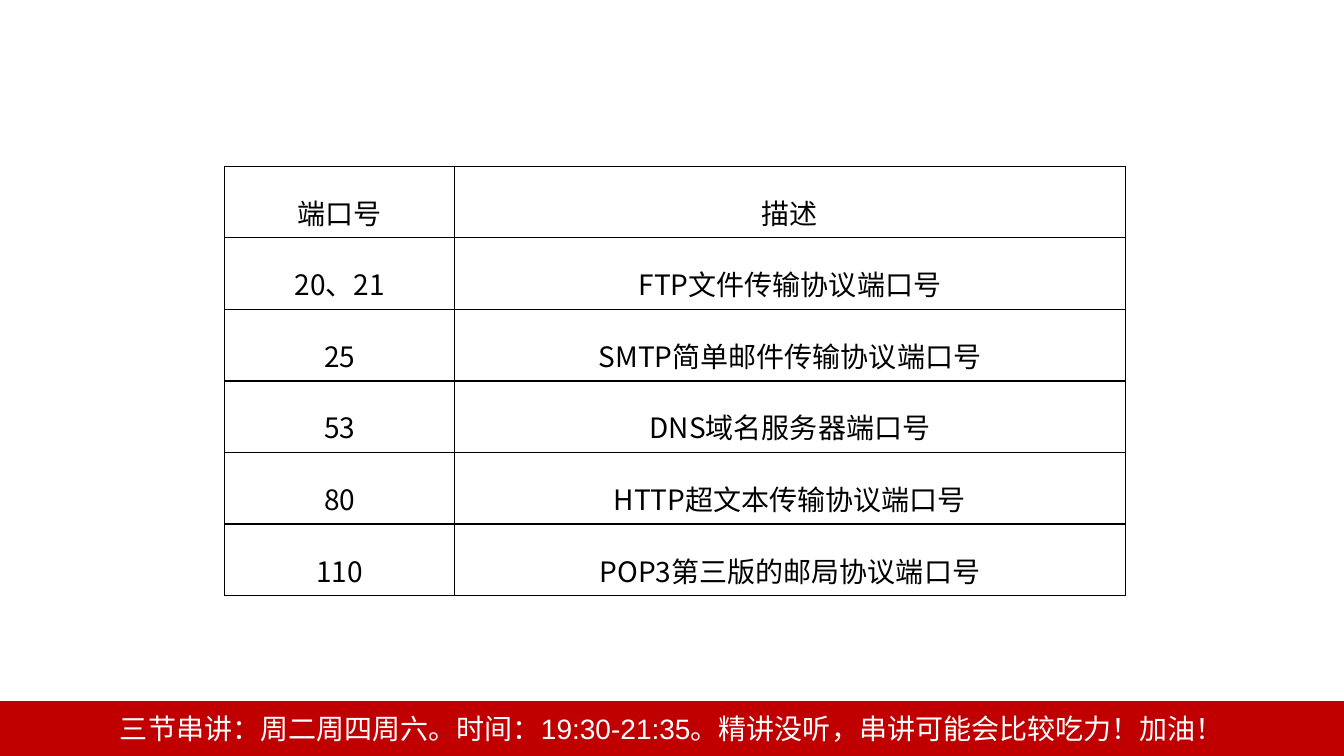
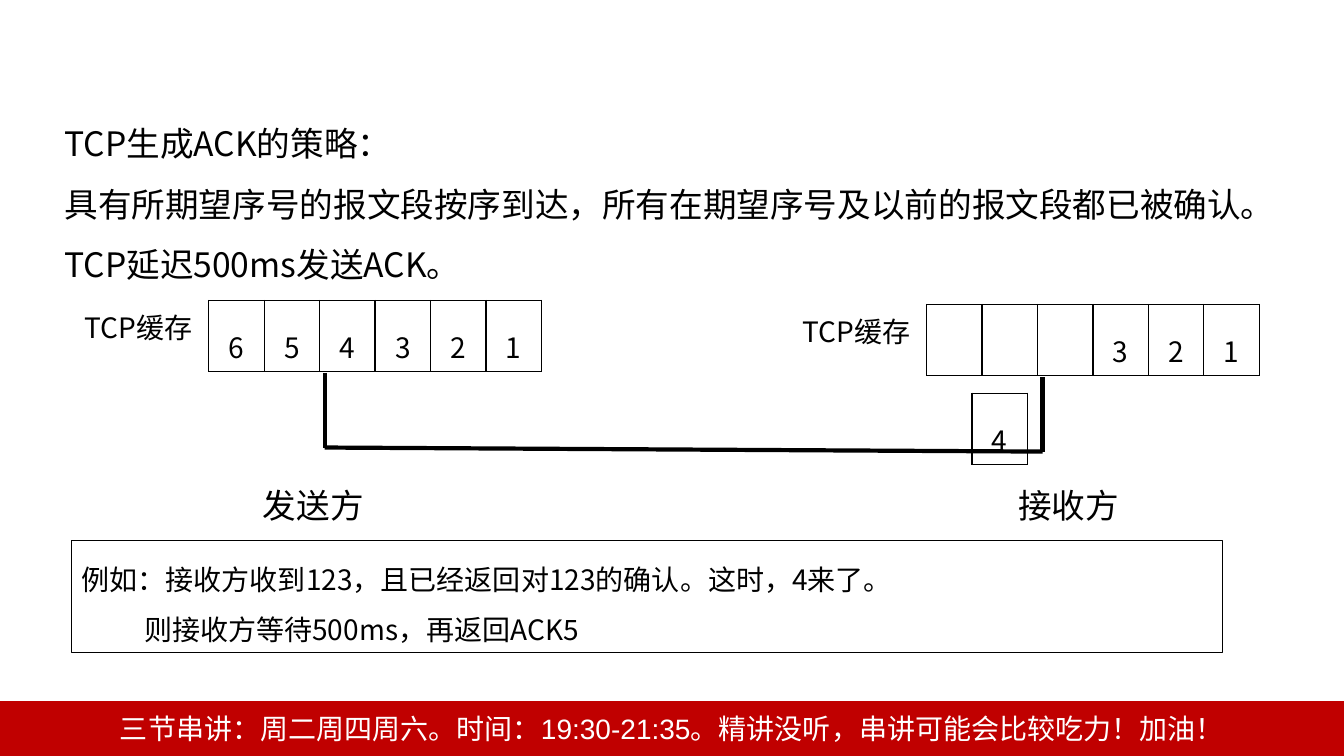
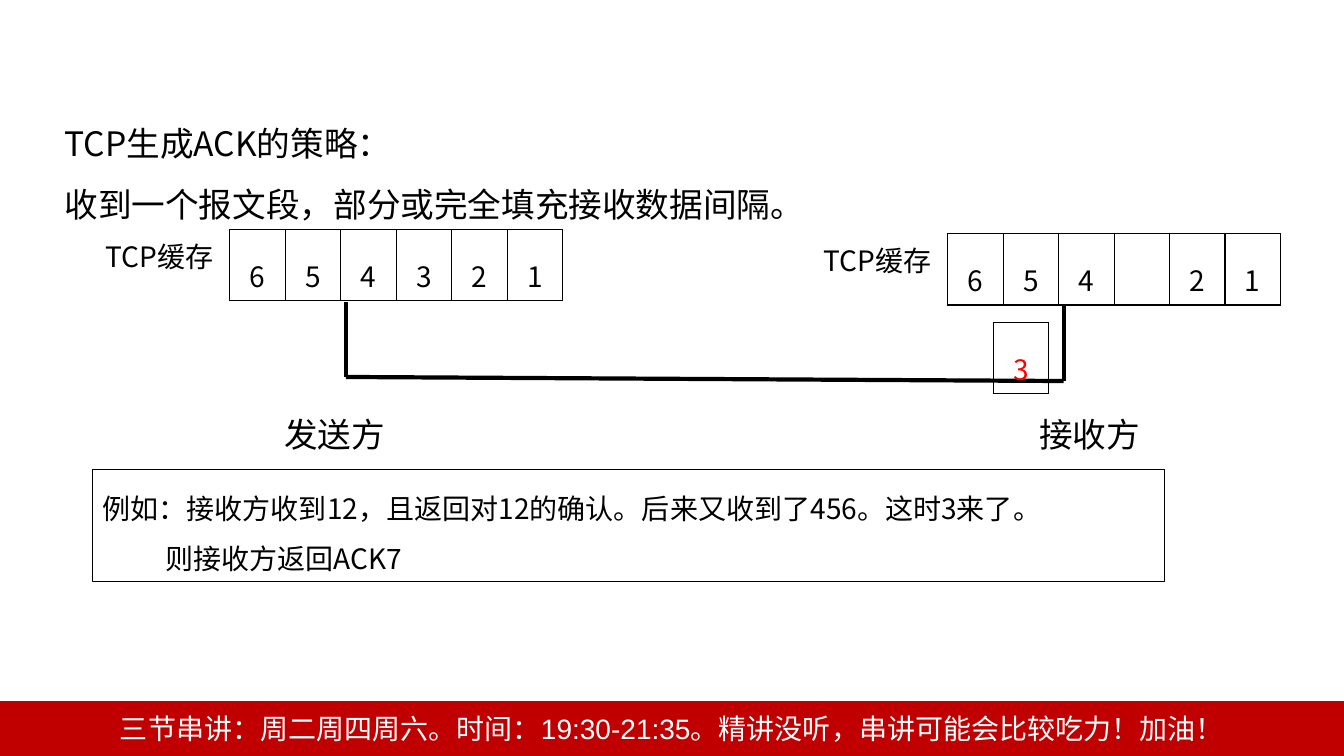
from lxml import etree
from pptx import Presentation
from pptx.dml.color import RGBColor
from pptx.enum.shapes import MSO_CONNECTOR, MSO_SHAPE
from pptx.enum.text import MSO_ANCHOR, MSO_AUTO_SIZE, PP_ALIGN
from pptx.oxml.ns import qn
from pptx.util import Inches, Pt

LEFT, CENTER = PP_ALIGN.LEFT, PP_ALIGN.CENTER
TOP, MIDDLE = MSO_ANCHOR.TOP, MSO_ANCHOR.MIDDLE
RECTANGLE, STRAIGHT = MSO_SHAPE.RECTANGLE, MSO_CONNECTOR.STRAIGHT
COLORS = {"band": "C00000", "ink": "000000", "paper": "FFFFFF", "late": "FF0000"}
FONT, BAND_FONT = "Noto Sans CJK SC", "Arial"
WIDTH, HEIGHT = 13.33, 7.5
BAND_TOP = 6.96
CELL_WIDTH, CELL_HEIGHT = 0.55, 0.6
PORT_ROW_HEIGHT = 0.71
HEADING_HEIGHT = 0.6


def write(frame, lines, size=20, color="ink", font=FONT, align=LEFT,
          spacing=None, anchor=TOP, hanging=0):
    """Fill a text frame; every line after the first is indented by hanging."""
    frame.word_wrap = True
    frame.auto_size = MSO_AUTO_SIZE.NONE
    frame.vertical_anchor = anchor
    for index, line in enumerate(lines):
        paragraph = frame.paragraphs[0] if index == 0 else frame.add_paragraph()
        properties = paragraph._p.get_or_add_pPr()
        properties.set("marL", str(Inches(hanging if index else 0)))
        properties.set("indent", "0")
        etree.SubElement(properties, qn("a:buNone"))
        paragraph.alignment = align
        paragraph.space_before = Pt(0)
        if spacing:
            paragraph.line_spacing = spacing
        run = paragraph.add_run()
        run.text = line
        run.font.size = Pt(size)
        run.font.color.rgb = RGBColor.from_string(COLORS[color])
        run.font.name = font
        etree.SubElement(run._r.get_or_add_rPr(), qn("a:ea"), typeface=FONT)


def add_grid(slide, left, top, widths, row_height, rows, color="ink"):
    """Add an unfilled table with thin black borders and centred text."""
    table = slide.shapes.add_table(
        len(rows), len(widths), Inches(left), Inches(top),
        Inches(sum(widths)), Inches(row_height * len(rows))).table
    table.first_row = table.horz_banding = False
    for column, width in zip(table.columns, widths):
        column.width = Inches(width)
    for row_index, row in enumerate(rows):
        for column_index, text in enumerate(row):
            cell = table.cell(row_index, column_index)
            properties = cell._tc.get_or_add_tcPr()
            for side in ("a:lnL", "a:lnR", "a:lnT", "a:lnB"):
                border = etree.SubElement(properties, qn(side), w=str(Pt(1)))
                fill = etree.SubElement(border, qn("a:solidFill"))
                etree.SubElement(fill, qn("a:srgbClr"), val=COLORS["ink"])
            cell.fill.background()
            if text:
                write(cell.text_frame, [text], color=color, align=CENTER, spacing=1.5)


presentation = Presentation()
presentation.slide_width = Inches(WIDTH)
presentation.slide_height = Inches(HEIGHT)
content_layout, blank_layout = presentation.slide_layouts[1], presentation.slide_layouts[6]

# Port table
slide = presentation.slides.add_slide(blank_layout)
add_grid(slide, 2.23, 1.65, [2.28, 6.65], PORT_ROW_HEIGHT, [
    ("端口号", "描述"),
    ("20、21", "FTP文件传输协议端口号"),
    ("25", "SMTP简单邮件传输协议端口号"),
    ("53", "DNS域名服务器端口号"),
    ("80", "HTTP超文本传输协议端口号"),
    ("110", "POP3第三版的邮局协议端口号"),
])

# Footer band, moved to the master so that every slide shows it
band = slide.shapes.add_shape(RECTANGLE, 0, Inches(BAND_TOP),
                              Inches(WIDTH), Inches(HEIGHT - BAND_TOP))
band.shadow.inherit = False
band.fill.solid()
band.fill.fore_color.rgb = band.line.color.rgb = RGBColor.from_string(COLORS["band"])
band.line.width = Pt(1)
write(band.text_frame,
      ["三节串讲：周二周四周六。时间：19:30-21:35。精讲没听，串讲可能会比较吃力！加油！"],
      color="paper", font=BAND_FONT, align=CENTER, anchor=MIDDLE)
band.element.nvSpPr.cNvPr.set("id", "20")
presentation.slide_master.shapes.element.append(band.element)

# ACK strategies: the same diagram, placed from its upper left corner
strategies = [
    {
        "corner": (0.74, 2.98),
        "rule": "具有所期望序号的报文段按序到达，所有在期望序号及以前的报文段都已被确认。TCP延迟500ms发送ACK。",
        "rule_height": 1.25,
        "received": ["", "", "", "3", "2", "1"],
        "arriving": ("4", "ink"),
        "example": ["例如：接收方收到123，且已经返回对123的确认。这时，4来了。",
                    "则接收方等待500ms，再返回ACK5"],
        "example_width": 11.42,
    },
    {
        "corner": (0.95, 2.28),
        "rule": "收到一个报文段，部分或完全填充接收数据间隔。",
        "rule_height": 0.7,
        "received": ["6", "5", "4", "", "2", "1"],
        "arriving": ("3", "late"),
        "example": ["例如：接收方收到12，且返回对12的确认。后来又收到了456。这时3来了。",
                    "则接收方返回ACK7"],
        "example_width": 10.63,
    },
]
for strategy in strategies:
    slide = presentation.slides.add_slide(content_layout)
    left, top = strategy["corner"]

    title, body = slide.placeholders
    for holder, line, holder_top, holder_height in (
            (title, "TCP生成ACK的策略：", 0.97, HEADING_HEIGHT),
            (body, strategy["rule"], 0.97 + HEADING_HEIGHT, strategy["rule_height"])):
        holder.left, holder.top = Inches(0.54), Inches(holder_top)
        holder.width, holder.height = Inches(12.16), Inches(holder_height)
        write(holder.text_frame, [line], size=24, spacing=1.5)

    sides = (("发送方", 1.77, 0, 0, ["6", "5", "4", "3", "2", "1"]),
             ("接收方", 9.26, 7.12, 0.04, strategy["received"]))
    for name, name_left, shift, drop, segments in sides:
        add_grid(slide, left + shift + 1.33, top + drop, [CELL_WIDTH] * 6,
                 CELL_HEIGHT, [segments])
        for text, size, x, y, width, height in (
                ("TCP缓存", 20, shift, drop + 0.05, 1.3, 0.44),
                (name, 24, name_left, 1.78, 1.38, 0.5)):
            label = slide.shapes.add_textbox(Inches(left + x), Inches(top + y),
                                             Inches(width), Inches(height))
            write(label.text_frame, [text], size=size)

    sender, receiver = (left + 2.48, top + 1.46), (left + 9.6, top + 1.5)
    for start, end in (((sender[0], sender[1] - 0.74), sender),
                       (receiver, (receiver[0], receiver[1] - 0.74)),
                       (sender, receiver)):
        link = slide.shapes.add_connector(STRAIGHT, *map(Inches, start + end))
        link.line.color.rgb = RGBColor.from_string(COLORS["ink"])
        link.line.width = Pt(3)
        etree.SubElement(link.element.spPr, qn("a:effectLst"))

    number, color = strategy["arriving"]
    add_grid(slide, left + 8.9, top + 0.92, [CELL_WIDTH], CELL_HEIGHT, [[number]], color)

    example = slide.shapes.add_shape(
        RECTANGLE, Inches(left - 0.03), Inches(top + 2.38),
        Inches(strategy["example_width"]), Inches(1.11))
    example.shadow.inherit = False
    example.fill.background()
    example.line.color.rgb = RGBColor.from_string(COLORS["ink"])
    example.line.width = Pt(0.75)
    write(example.text_frame, strategy["example"], spacing=1.5, hanging=0.62)

presentation.save("out.pptx")
